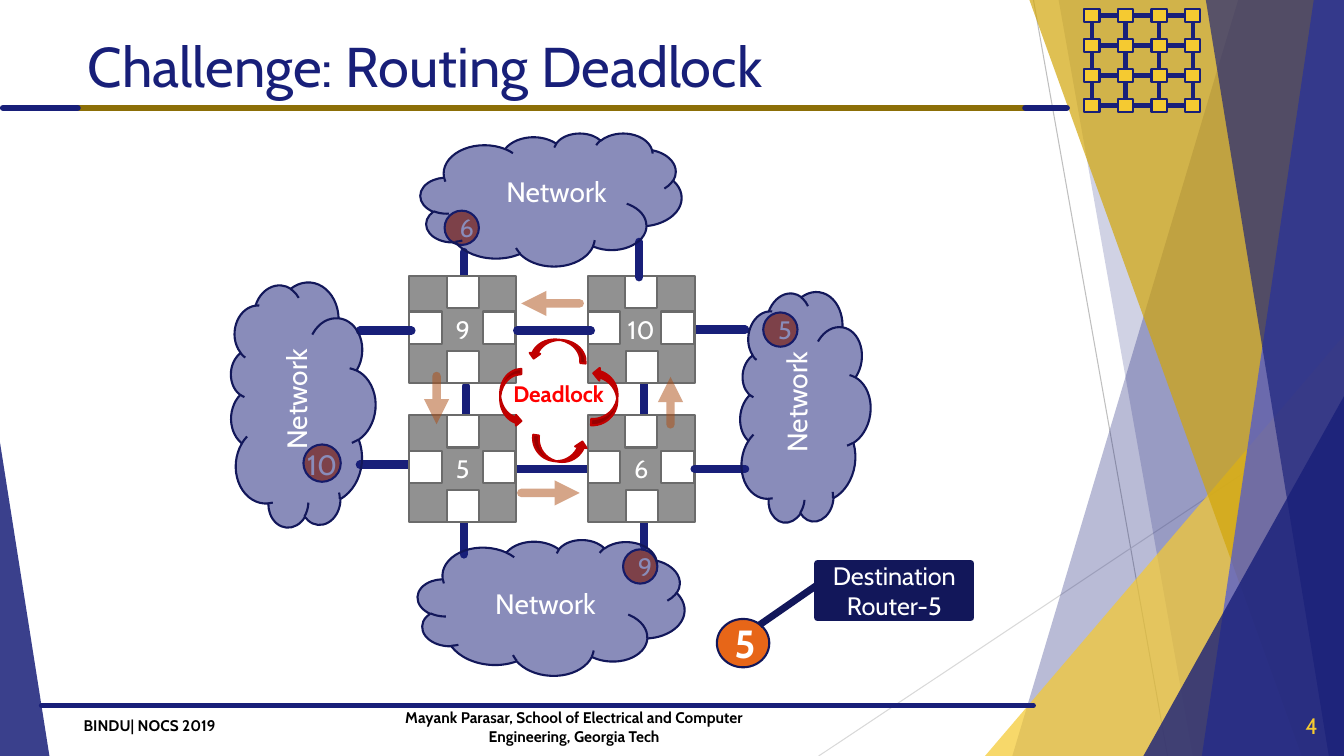
from dataclasses import dataclass
from itertools import product

from lxml.etree import SubElement
from pptx import Presentation
from pptx.dml.color import RGBColor
from pptx.enum.shapes import MSO_CONNECTOR, MSO_SHAPE
from pptx.enum.text import MSO_ANCHOR, MSO_AUTO_SIZE, PP_ALIGN
from pptx.oxml.ns import qn
from pptx.util import Inches, Pt

RECT, OVAL, CLOUD = MSO_SHAPE.RECTANGLE, MSO_SHAPE.OVAL, MSO_SHAPE.CLOUD
TRIANGLE, CURVED = MSO_SHAPE.ISOSCELES_TRIANGLE, MSO_SHAPE.CURVED_DOWN_ARROW
CALLOUT, STRAIGHT = MSO_SHAPE.LINE_CALLOUT_1, MSO_CONNECTOR.STRAIGHT
LEFT, CENTER, RIGHT = PP_ALIGN.LEFT, PP_ALIGN.CENTER, PP_ALIGN.RIGHT
TOP, MIDDLE, NO_FIT = MSO_ANCHOR.TOP, MSO_ANCHOR.MIDDLE, MSO_AUTO_SIZE.NONE


@dataclass(frozen=True)
class Theme:
    """Colours, font and type sizes of the slide."""
    font: str = "Cabin"
    navy: str = "181F79"
    ink: str = "12175A"
    blue: str = "4853DB"
    gold: str = "F5CA31"
    amber: str = "D2A60A"
    bronze: str = "8C6F07"
    orange: str = "E76618"
    rust: str = "AD4C12"
    red: str = "C00000"
    alert: str = "FF0000"
    gray: str = "919191"
    edge: str = "6B6B6B"
    silver: str = "BFBFBF"
    mist: str = "D9D9D9"
    white: str = "FFFFFF"
    black: str = "000000"
    title: int = 40
    big: int = 28
    network: int = 20
    label: int = 18
    small: int = 16
    footer: int = 11


def put(obj, **values):
    """Set each named attribute on an object."""
    for name, value in values.items():
        setattr(obj, name, value)


def fade(paint, opacity):
    """Give the colours below an element an opacity in percent."""
    for clr in paint.iter(qn("a:srgbClr")):
        SubElement(clr, qn("a:alpha"), val=str(opacity * 1000))


class Board:
    """Draws on one slide, on a grid of tenth-inch columns and rows."""

    def __init__(self, prs, theme):
        """Open a title-only slide."""
        self.theme, self.cell = theme, Inches(0.1)
        self.s = prs.slides.add_slide(prs.slide_layouts[5])

    def grid(self, *cells):
        """Turn grid cells into lengths."""
        return [round(c * self.cell) for c in cells]

    def label(self, sp, text, size, color, bold=False, align=CENTER, anchor=MIDDLE, wrap=True):
        """Put one formatted paragraph into a shape."""
        tf = sp.text_frame
        put(tf, word_wrap=wrap, vertical_anchor=anchor, auto_size=NO_FIT)
        p = tf.paragraphs[0]
        p.alignment = align
        r = p.add_run()
        r.text = text
        put(r.font, name=self.theme.font, size=Pt(size), bold=bold)
        r.font.color.rgb = RGBColor.from_string(color)

    def title(self, text, box):
        """Move and fill the title placeholder."""
        sp = self.s.shapes.title
        put(sp, **dict(zip(("left", "top", "width", "height"), self.grid(*box))))
        self.label(sp, text, self.theme.title, self.theme.navy, align=LEFT)

    def text(self, text, box, size, color, rot=0, **fmt):
        """Add a text box."""
        sp = self.s.shapes.add_textbox(*self.grid(*box))
        sp.rotation = rot
        self.label(sp, text, size, color, **fmt)

    def paint(self, sp, fill, line=None, width=1.5, opacity=None):
        """Set fill, outline and opacity, without a shadow."""
        sp.shadow.inherit = False
        sp.fill.solid()
        sp.fill.fore_color.rgb = RGBColor.from_string(fill)
        if opacity:
            fade(sp._element.spPr.find(qn("a:solidFill")), opacity)
        if line:
            sp.line.color.rgb = RGBColor.from_string(line)
            sp.line.width = Pt(width)
        else:
            sp.line.fill.background()

    def shape(self, kind, box, fill, line=None, adj=(), rot=0, flip=False, **look):
        """Add a preset shape."""
        sp = self.s.shapes.add_shape(kind, *self.grid(*box))
        self.paint(sp, fill, line, **look)
        sp.rotation = rot
        for i, value in enumerate(adj):
            sp.adjustments[i] = value
        if flip:
            sp._element.spPr.find(qn("a:xfrm")).set("flipH", "1")
        return sp

    def band(self, top, bottom, fill, opacity):
        """Add a slanted band that reaches the right edge."""
        pts = [self.grid(*pt) for pt in ((top, 0), (133.3, 0), (133.3, 75), (bottom, 75))]
        fb = self.s.shapes.build_freeform(*pts[0], scale=1.0)
        fb.add_line_segments(pts[1:], close=True)
        self.paint(fb.convert_to_shape(), fill, opacity=opacity)

    def line(self, ends, color, width, opacity=None, arrow=False):
        """Add a round-capped line or arrow."""
        c = self.s.shapes.add_connector(STRAIGHT, *self.grid(*ends))
        c.line.color.rgb = RGBColor.from_string(color)
        c.line.width = Pt(width)
        ln = c._element.spPr.find(qn("a:ln"))
        ln.set("cap", "rnd")
        if opacity:
            fade(ln, opacity)
        if arrow:
            SubElement(ln, qn("a:tailEnd"), type="triangle")
        SubElement(c._element.spPr, qn("a:effectLst"))

    def router(self, name, x, y):
        """Add a router with a port on each side."""
        t = self.theme
        sp = self.shape(RECT, (x, y, 10.6, 10.6), t.gray, t.edge)
        self.label(sp, name, t.label, t.white)
        for dx, dy in ((0, 3.5), (3.7, 0), (7.3, 3.5), (3.75, 7.4)):
            self.shape(RECT, (x + dx, y + dy, 3.2, 3.2), t.white, t.edge)


def backdrop(b, t):
    """Draw the bands, rules and mesh around the content."""
    b.line((102.5, 0, 115.8, 75), t.silver, 0.75)
    b.line((133.3, 40.3, 81.2, 75), t.mist, 0.75)
    b.band(122.8, 100.4, t.navy, 30)
    b.band(105, 118.3, t.navy, 20)
    b.shape(TRIANGLE, (97.7, 33.3, 35.6, 41.7), t.gold, adj=[1], opacity=72)
    b.band(102.1, 129.1, t.amber, 70)
    b.band(130.3, 119.2, t.blue, 70)
    b.band(119.6, 131.8, t.navy, 65)
    b.shape(TRIANGLE, (113.4, 39.3, 19.9, 35.7), t.navy, adj=[1], opacity=80)
    b.shape(TRIANGLE, (0, 43.9, 4.9, 31.1), t.navy, adj=[0], opacity=85)
    b.line((4.1, 70, 102.5, 70), t.navy, 3.5)
    for x1, x2, color in ((7.7, 101.7, t.bronze), (0.3, 7.7, t.navy), (101.7, 105.8, t.navy)):
        b.line((x1, 10.7, x2, 10.7), color, 4.5)
    xs, ys = [108.3 + 3.33 * i for i in range(4)], [1.55 + 2.97 * i for i in range(4)]
    for x, y in zip(xs, ys):
        b.line((xs[0], y, xs[-1], y), t.navy, 3)
        b.line((x, ys[0], x, ys[-1]), t.navy, 3)
    for x, y in product(xs, ys):
        b.shape(RECT, (x - 0.75, y - 0.65, 1.5, 1.3), t.gold, t.navy)


def network(b, t):
    """Draw routers, links, packets and clouds."""
    for ends in ((35.7, 46.1, 40.6, 46.1), (68.9, 32.7, 73.9, 32.7), (46, 27.6, 46, 25),
                 (46, 55, 46, 51.8), (51, 46.5, 58.2, 46.5), (63.9, 54.2, 63.9, 51.7),
                 (63.9, 41.5, 63.9, 38), (46.2, 41.8, 46.2, 38.3)):
        b.line(ends, t.navy, 6)
    for name, (x, y) in zip(("9", "5", "10", "6"), product((40.6, 58.3), (27.4, 41.2))):
        b.router(name, x, y)
    for ends in ((51.3, 32.8, 58.6, 32.8), (68.9, 46.5, 73.9, 46.5),
                 (35.7, 32.8, 40.8, 32.8), (63.4, 27.5, 63.4, 24)):
        b.line(ends, t.navy, 6)
    for name, x, y in (("5", 75.7, 31), ("9", 61.8, 54.5), ("6", 44.1, 20.9)):
        sp = b.shape(OVAL, (x, y, 3.4, 3.4), t.orange, t.ink)
        b.label(sp, name, t.label, t.white)
    b.shape(OVAL, (30.1, 44.1, 3.7, 3.7), t.orange, t.ink)
    b.text("10", (29.4, 43.9, 5.1, 4.4), t.network, t.white, anchor=TOP, wrap=False)
    for box, rot in (((52.5, 33.7, 5.7, 2.1), 5.5), ((47.8, 38.4, 5.7, 2.1), 270),
                     ((52.7, 43.5, 5.5, 2.3), 188), ((57.1, 38.1, 5.8, 2.5), 92.5)):
        b.shape(CURVED, box, t.red, t.red, rot=rot, flip=True)
    b.text("Deadlock", (49.4, 37.2, 12, 3.7), t.small, t.alert, bold=True, anchor=TOP, wrap=False)
    for ends in ((57.5, 30.1, 51.7, 30.1), (66.5, 42.1, 66.5, 37.4),
                 (43.3, 37.3, 43.3, 42.1), (51.7, 48.9, 57.5, 48.9)):
        b.line(ends, t.rust, 6, opacity=50, arrow=True)
    for box, rot in (((68.2, 33.9, 23.1, 13.1), 278.4), ((17.7, 32.9, 24.4, 14.6), 275.1),
                     ((41.7, 13.2, 25.9, 13.2), 0), ((41.4, 53.4, 26.5, 13.6), 2.6)):
        b.shape(CLOUD, box, t.navy, t.ink, rot=rot, opacity=51)
    for x, y, rot in ((47, 16.8, 0), (21.2, 37.4, 270), (70.8, 37.7, 270), (45.9, 57.7, 0)):
        b.text("Network", (x, y, 16.4, 4.4), t.network, t.white, rot, anchor=TOP)


def main():
    """Build and save the slide."""
    prs, t = Presentation(), Theme()
    put(prs, slide_width=Inches(13.33), slide_height=Inches(7.5))
    b = Board(prs, t)
    backdrop(b, t)
    b.title("Challenge: Routing Deadlock", (7.7, 2.3, 94, 8.4))
    network(b, t)
    sp = b.shape(OVAL, (71.1, 61.4, 5.2, 4.8), t.orange, t.ink)
    b.label(sp, "5", t.big, t.white, bold=True)
    sp = b.shape(CALLOUT, (81.1, 55.9, 15.2, 5.4), t.ink, t.ink, width=5,
                 adj=(0.37, 0.01, 1.13, -0.38))
    b.label(sp, "Destination Router-5", t.label, t.white)
    b.text("BINDU| NOCS 2019", (7.3, 70, 16.2, 4), t.footer, t.black, bold=True, align=LEFT)
    b.text("Mayank Parasar, School of Electrical and Computer Engineering, Georgia Tech",
           (37, 70.1, 39.9, 4), t.footer, t.black, bold=True)
    b.text("4", (124.2, 70, 7.5, 4), t.small, t.gold, align=RIGHT)
    prs.save("out.pptx")


if __name__ == "__main__":
    main()
